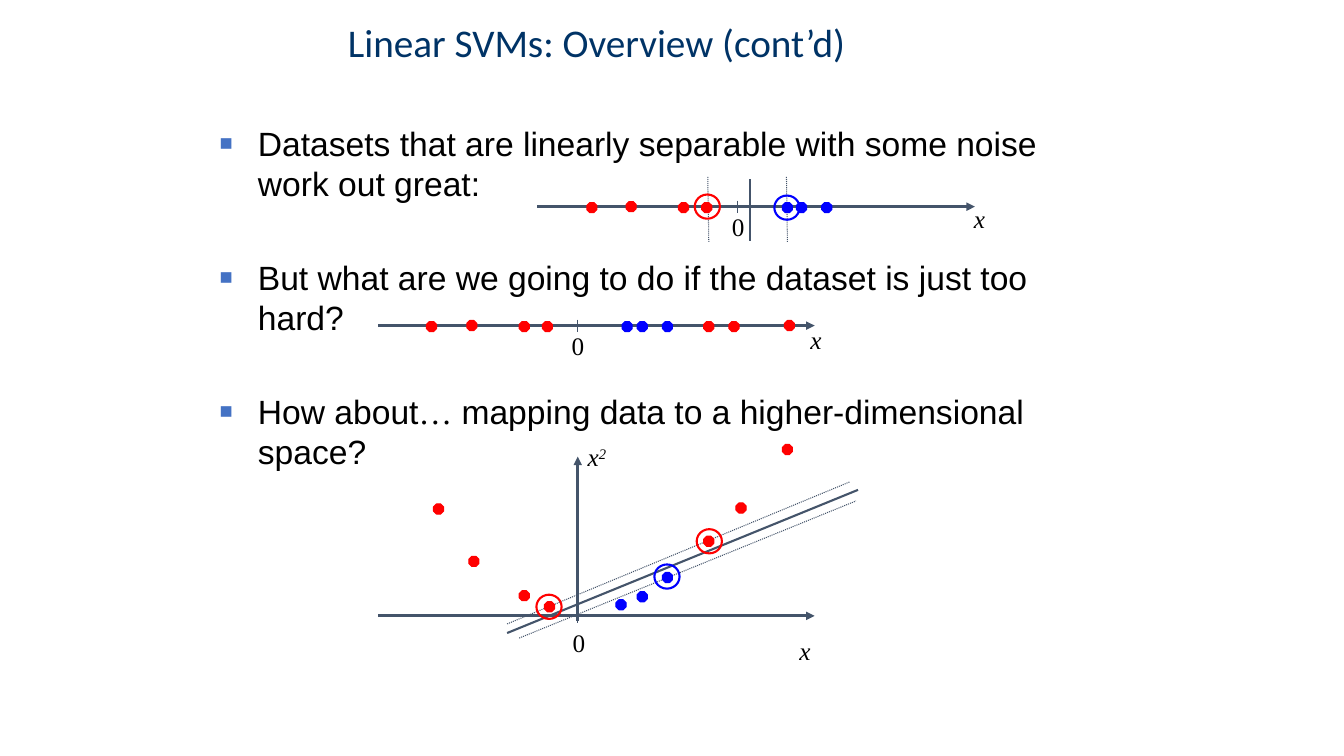
from lxml.etree import SubElement
from pptx import Presentation
from pptx.dml.color import RGBColor
from pptx.enum.dml import MSO_LINE
from pptx.enum.shapes import MSO_CONNECTOR, MSO_SHAPE
from pptx.enum.text import MSO_ANCHOR, PP_ALIGN
from pptx.oxml.ns import qn
from pptx.util import Pt

PX = 9144  # 100 px to the inch
COLORS = {"title": "003366", "text": "000000", "bullet": "4472C4",
          "line": "44546A", "red": "FF0000", "blue": "0000FF"}
DOT = 10
RING = (25, 24)
LABEL_HEIGHT = 40

TITLE = "Linear SVMs: Overview (cont’d)"
# Each bullet is a list of (text, font that differs from the paragraph's)
BULLETS = [
    [("Datasets that are linearly separable with some noise work out great:", None)],
    [("But what are we going to do if the dataset is just too hard?", None)],
    [("How about", None), ("…", "Times New Roman"),
     (" mapping data to a higher-dimensional space?", None)],
]

# Line styles: width in points, dotted, arrowhead
STYLES = {"axis": (2, False, True), "tick": (0.75, False, False),
          "separator": (1.5, False, False), "margin": (0.75, True, False)}

# Lines: style, from x, y, to x, y. Dots and rings: left, top.
# Labels: text, superscript, left, top, width
PLOTS = [
    {   # separable data on one axis
        "lines": [("axis", 533, 205, 967, 205), ("tick", 731, 199, 731, 211),
                  ("separator", 744, 178, 744, 239),
                  ("margin", 781, 240, 780, 175), ("margin", 703, 240, 702, 175)],
        "dots": {"red": [(582, 201), (621, 200), (673, 201), (696, 201)],
                 "blue": [(776, 201), (790, 201), (815, 201)]},
        "rings": {"red": [(689, 193)], "blue": [(768, 194)]},
        "labels": [("0", "", 716, 205, 38), ("x", "", 956, 197, 50)],
    },
    {   # data too hard for one axis
        "lines": [("axis", 375, 323, 808, 323), ("tick", 573, 317, 573, 329)],
        "dots": {"red": [(423, 319), (463, 318), (515, 319), (538, 319),
                         (698, 319), (723, 319), (778, 318)],
                 "blue": [(617, 319), (632, 319), (657, 319)]},
        "rings": {},
        "labels": [("0", "", 557, 323, 38), ("x", "", 794, 317, 50)],
    },
    {   # data mapped to two dimensions
        "lines": [("axis", 375, 611, 808, 611), ("tick", 573, 605, 573, 618),
                  ("axis", 573, 616, 573, 453), ("separator", 503, 628, 851, 486),
                  ("margin", 503, 619, 843, 478), ("margin", 515, 633, 849, 497)],
        "dots": {"red": [(430, 500), (465, 552), (515, 586), (540, 597),
                         (698, 532), (730, 499), (776, 441)],
                 "blue": [(611, 595), (632, 587), (657, 568)]},
        "rings": {"red": [(691, 525), (532, 590)], "blue": [(649, 560)]},
        "labels": [("0", "", 558, 617, 38), ("x", "", 783, 625, 50),
                   ("x", "2", 573, 433, 50)],
    },
]


def color(name):
    return RGBColor.from_string(COLORS[name])


def emu(*lengths):
    return [length * PX for length in lengths]


def set_font(font, name, size, color_name):
    font.name, font.size = name, Pt(size)
    font.color.rgb = color(color_name)


def add_bullet(para):
    props = para._p.get_or_add_pPr()
    props.set("marL", str(38 * PX))
    props.set("indent", str(-38 * PX))
    bullet_color = SubElement(props, qn("a:buClr"))
    SubElement(bullet_color, qn("a:srgbClr"), val=COLORS["bullet"])
    SubElement(props, qn("a:buSzPct"), val="65000")
    SubElement(props, qn("a:buFont"), typeface="Arial")
    SubElement(props, qn("a:buChar"), char="■")


def add_line(shapes, style, *ends):
    width, dotted, arrow = STYLES[style]
    line = shapes.add_connector(MSO_CONNECTOR.STRAIGHT, *emu(*ends))
    line.line.color.rgb = color("line")
    line.line.width = Pt(width)
    if dotted:
        line.line.dash_style = MSO_LINE.ROUND_DOT
    if arrow:
        SubElement(line.line._get_or_add_ln(), qn("a:tailEnd"), type="triangle")
    SubElement(line._element.spPr, qn("a:effectLst"))


def add_marker(shapes, kind, color_name, box, width, filled):
    marker = shapes.add_shape(kind, *emu(*box))
    marker.shadow.inherit = False
    if filled:
        marker.fill.solid()
        marker.fill.fore_color.rgb = color(color_name)
    else:
        marker.fill.background()
    marker.line.color.rgb = color(color_name)
    marker.line.width = Pt(width)


def add_label(shapes, text, superscript, left, top, width):
    box = shapes.add_textbox(*emu(left, top, width, LABEL_HEIGHT))
    box.text_frame.word_wrap = True
    para = box.text_frame.paragraphs[0]
    set_font(para.font, "Times New Roman", 18, "text")
    para.font.italic = text == "x"
    para.add_run().text = text
    if superscript:
        span = para.add_run()
        span.text = superscript
        span._r.get_or_add_rPr().set("baseline", "30000")


deck = Presentation()
deck.slide_width, deck.slide_height = emu(1333, 750)
page = deck.slides.add_slide(deck.slide_layouts[5])

# Title
title = page.shapes.title
title.left, title.top, title.width, title.height = emu(335, 13, 621, 92)
title.text_frame.text = TITLE
title.text_frame.vertical_anchor = MSO_ANCHOR.TOP
title_para = title.text_frame.paragraphs[0]
title_para.alignment = PP_ALIGN.LEFT
set_font(title_para.font, "Calibri", 28, "title")

# Bullets, spaced to leave room for the plots
body = page.shapes.add_textbox(*emu(208, 117, 900, 550)).text_frame
body.word_wrap = True
for number, spans in enumerate(BULLETS):
    para = body.add_paragraph() if number else body.paragraphs[0]
    para.line_spacing = Pt(28.6)
    if number:
        para.space_before = Pt(38.5)
    add_bullet(para)
    set_font(para.font, "Arial", 24, "text")
    for text, font_name in spans:
        span = para.add_run()
        span.text = text
        if font_name:
            span.font.name = font_name

# Plots, one group each
for plot in PLOTS:
    shapes = page.shapes.add_group_shape().shapes
    for line in plot["lines"]:
        add_line(shapes, *line)
    for color_name, corners in plot["dots"].items():
        for corner in corners:
            add_marker(shapes, MSO_SHAPE.OCTAGON, color_name,
                       (*corner, DOT, DOT), 0.75, True)
    for color_name, corners in plot["rings"].items():
        for corner in corners:
            add_marker(shapes, MSO_SHAPE.OVAL, color_name,
                       (*corner, *RING), 1.5, False)
    for label in plot["labels"]:
        add_label(shapes, *label)

deck.save("out.pptx")
